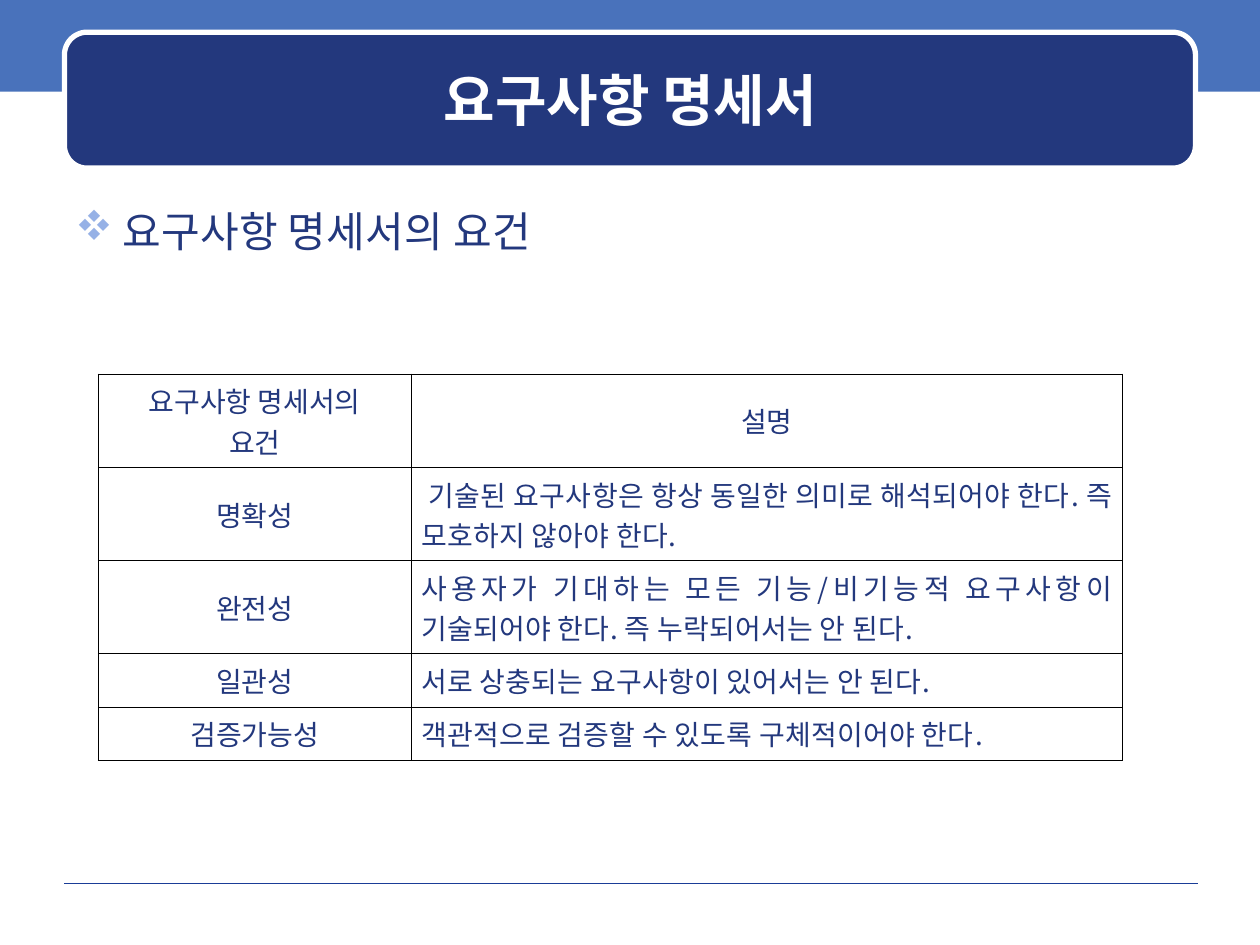
from lxml.etree import SubElement
from pptx import Presentation
from pptx.dml.color import RGBColor
from pptx.enum.shapes import MSO_CONNECTOR as Connector, MSO_SHAPE as Shape
from pptx.enum.text import MSO_ANCHOR as Anchor, PP_ALIGN as Align
from pptx.oxml.ns import qn
from pptx.util import Cm, Pt

FONT = "Noto Sans CJK KR"
NAVY, BLUE, WHITE = "23387D", "4972BB", "FFFFFF"
TITLE = "요구사항 명세서"
HEADING = "요구사항 명세서의 요건"
ROWS = [
    ("요구사항 명세서의\n요건", "설명"),
    ("명확성", " 기술된 요구사항은 항상 동일한 의미로 해석되어야 한다. 즉 모호하지 않아야 한다."),
    ("완전성", "사용자가 기대하는 모든 기능/비기능적 요구사항이 기술되어야 한다. 즉 누락되어서는 안 된다."),
    ("일관성", "서로 상충되는 요구사항이 있어서는 안 된다."),
    ("검증가능성", "객관적으로 검증할 수 있도록 구체적이어야 한다."),
]
COLUMN_WIDTHS = [Cm(6.31), Cm(14.34)]
ROW_HEIGHTS = [Cm(1.88)] * 3 + [Cm(1.07)] * 2


def rgb(value):
    return RGBColor.from_string(value)


def style(para, size, color, align=Align.LEFT, bold=False, spacing=0):
    para.alignment = align
    font = para.font
    font.name, font.size, font.bold = FONT, Pt(size), bold
    font.color.rgb = rgb(color)
    # East Asian typeface and letter spacing (hundredths of a point)
    defaults = para._p.pPr.find(qn("a:defRPr"))
    defaults.set("spc", str(spacing))
    latin = defaults.find(qn("a:latin"))
    latin.addnext(latin.makeelement(qn("a:ea"), {"typeface": FONT}))


def add_panel(kind, left, top, width, height, color):
    panel = page.shapes.add_shape(kind, left, top, width, height)
    panel.shadow.inherit = False
    panel.fill.solid()
    panel.fill.fore_color.rgb = rgb(color)
    panel.line.fill.background()
    return panel


def add_text(text, left, top, width, height, anchor):
    box = page.shapes.add_textbox(left, top, width, height)
    frame = box.text_frame
    frame.word_wrap = True
    frame.vertical_anchor = anchor
    frame.text = text
    return frame.paragraphs[0]


def add_borders(cell, color, width):
    properties = cell._tc.get_or_add_tcPr()
    for position, side in enumerate(("lnL", "lnR", "lnT", "lnB")):
        line = properties.makeelement(qn(f"a:{side}"), {"w": str(width)})
        properties.insert(position, line)
        fill = SubElement(line, qn("a:solidFill"))
        SubElement(fill, qn("a:srgbClr"), val=color)


deck = Presentation()
deck.slide_width, deck.slide_height = Cm(25.4), Cm(19.05)
page = deck.slides.add_slide(deck.slide_layouts[6])

# Top band, footer rule and title panel
add_panel(Shape.RECTANGLE, 0, Cm(-0.08), deck.slide_width, Cm(1.93), BLUE)
rule = page.shapes.add_connector(Connector.STRAIGHT, Cm(1.3), Cm(17.8), Cm(24.16), Cm(17.8))
rule.line.color.rgb = rgb("1A3D97")
rule.line.width = Pt(0.25)
SubElement(rule._element.spPr, qn("a:effectLst"))
title_panel = add_panel(Shape.ROUNDED_RECTANGLE, Cm(1.3), Cm(0.65), Cm(22.8), Cm(2.74), NAVY)
title_panel.line.color.rgb = rgb(WHITE)
title_panel.line.width = Pt(3)

# Title and bulleted heading
title = add_text(TITLE, Cm(1.52), Cm(0.87), Cm(22.38), Cm(2.24), Anchor.MIDDLE)
style(title, 32, WHITE, Align.CENTER, bold=True)
heading = add_text(HEADING, Cm(1.27), Cm(4.01), Cm(22.86), Cm(13.54), Anchor.TOP)
indent = Cm(0.95)
paragraph_properties = heading._p.get_or_add_pPr()
paragraph_properties.set("marL", str(indent))
paragraph_properties.set("indent", str(-indent))
bullet_color = SubElement(paragraph_properties, qn("a:buClr"))
SubElement(bullet_color, qn("a:srgbClr"), val="96B1E6")
# Wingdings draws "v" as the four-diamond bullet
SubElement(paragraph_properties, qn("a:buFont"), typeface="Wingdings", charset="2")
SubElement(paragraph_properties, qn("a:buChar"), char="v")
style(heading, 24, NAVY, spacing=20)

# Requirements table
table = page.shapes.add_table(
    len(ROWS), len(COLUMN_WIDTHS), Cm(1.98), Cm(7.54), sum(COLUMN_WIDTHS), sum(ROW_HEIGHTS)
).table
table.first_row = table.horz_banding = False
for column, width in zip(table.columns, COLUMN_WIDTHS):
    column.width = width
for row, height in zip(table.rows, ROW_HEIGHTS):
    row.height = height
for row_index, texts in enumerate(ROWS):
    for column_index, text in enumerate(texts):
        cell = table.cell(row_index, column_index)
        cell.text = text
        cell.fill.background()
        cell.vertical_anchor = Anchor.MIDDLE
        cell.margin_left = cell.margin_right = Cm(0.2)
        cell.margin_top = cell.margin_bottom = Cm(0.13)
        add_borders(cell, "000000", Pt(0.45))
        is_description = row_index > 0 and column_index == 1
        for para in cell.text_frame.paragraphs:
            if is_description:
                style(para, 16, NAVY, Align.JUSTIFY, spacing=20)
            else:
                style(para, 16, NAVY, Align.CENTER)

deck.save("out.pptx")
